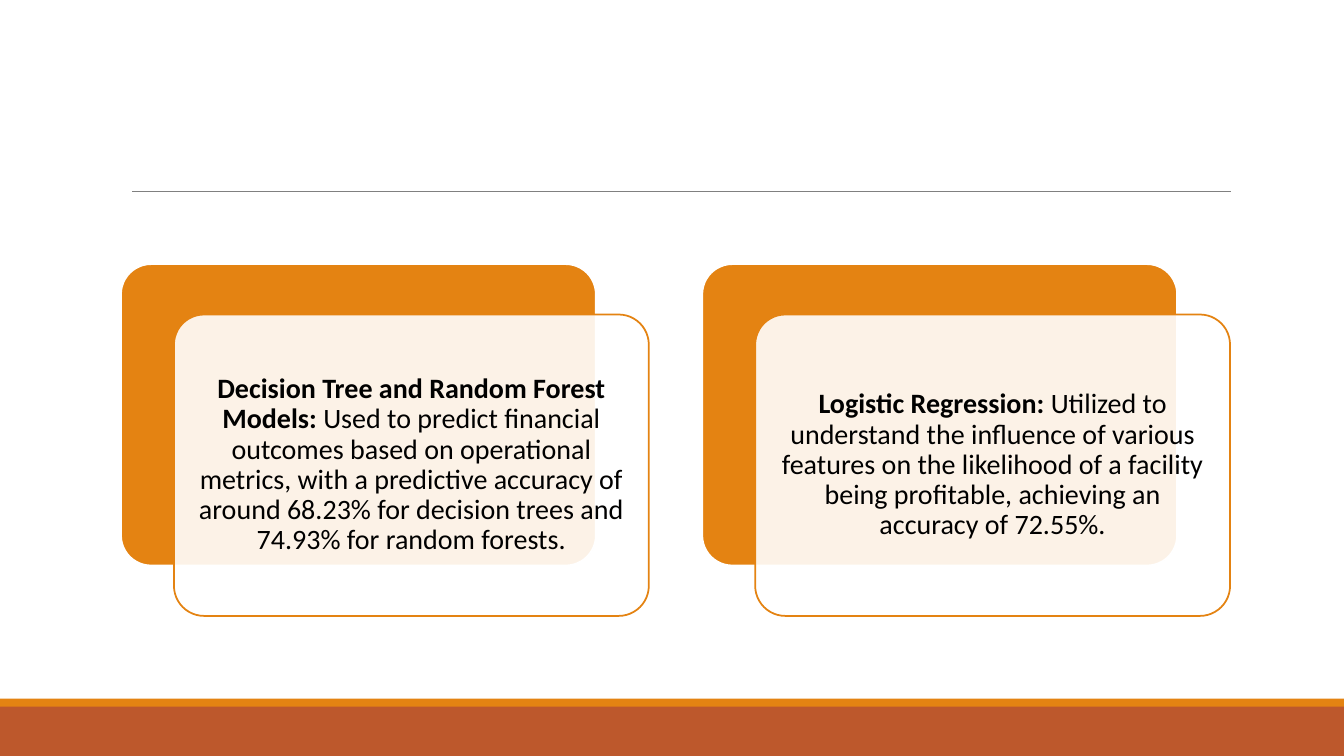
from dataclasses import dataclass

from lxml import etree
from pptx import Presentation
from pptx.dml.color import RGBColor
from pptx.enum import shapes, text
from pptx.oxml import ns
from pptx.util import Inches, Pt

MODELS = [
    ("Decision Tree and Random Forest Models: ",
     "Used to predict financial outcomes based on operational metrics, with a "
     "predictive accuracy of around 68.23% for decision trees and 74.93% for "
     "random forests."),
    ("Logistic Regression: ",
     "Utilized to understand the influence of various features on the likelihood "
     "of a facility being profitable, achieving an accuracy of 72.55%."),
]


@dataclass(frozen=True)
class Theme:
    orange: RGBColor = RGBColor.from_string("E48312")
    rust: RGBColor = RGBColor.from_string("BD582C")
    gray: RGBColor = RGBColor.from_string("808080")
    white: RGBColor = RGBColor.from_string("FFFFFF")
    black: RGBColor = RGBColor.from_string("000000")
    font: str = "Calibri"
    body: Pt = Pt(20)
    outline: Pt = Pt(1.25)
    rule: Pt = Pt(0.5)


THEME = Theme()
SLIDE_W, SLIDE_H = 13.33, 7.5
CARD_W, CARD_H = 4.71, 2.99
CARD_LEFT, CARD_TOP, CARD_PITCH = 1.2, 2.62, 5.765
FRONT_DX, FRONT_DY = 0.525, 0.5
CARD_INSET = 0.08


def add_block(slide, kind, left, top, width, height, fill, outline=None):
    block = slide.shapes.add_shape(
        kind, Inches(left), Inches(top), Inches(width), Inches(height))
    block.shadow.inherit = False
    block.fill.solid()
    block.fill.fore_color.rgb = fill
    if outline is None:
        block.line.fill.background()
    else:
        block.line.color.rgb = outline
        block.line.width = THEME.outline
    return block


def add_card(slide, left, top, fill, outline):
    card = add_block(slide, shapes.MSO_SHAPE.ROUNDED_RECTANGLE,
                     left, top, CARD_W, CARD_H, fill, outline)
    card.adjustments[0] = 0.1
    return card


def make_translucent(card, percent):
    color = card.fill._xPr.find(ns.qn("a:solidFill"))[0]
    etree.SubElement(color, ns.qn("a:alpha"), val=str(percent * 1000))


def write_model(card, name, finding):
    frame = card.text_frame
    frame.word_wrap = True
    frame.vertical_anchor = text.MSO_ANCHOR.MIDDLE
    frame.margin_left = frame.margin_right = Inches(CARD_INSET)
    frame.margin_top = frame.margin_bottom = Inches(CARD_INSET)
    summary = frame.paragraphs[0]
    summary.alignment = text.PP_ALIGN.CENTER
    summary.line_spacing = 0.9
    for words, bold in ((name, True), (finding, False)):
        run = summary.add_run()
        run.text = words
        run.font.bold = bold
        run.font.name = THEME.font
        run.font.size = THEME.body
        run.font.color.rgb = THEME.black


def add_rule(slide, left, right, top):
    rule = slide.shapes.add_connector(
        shapes.MSO_CONNECTOR.STRAIGHT,
        Inches(left), Inches(top), Inches(right), Inches(top))
    rule.line.color.rgb = THEME.gray
    rule.line.width = THEME.rule
    etree.SubElement(rule._element.spPr, ns.qn("a:effectLst"))


def main():
    deck = Presentation()
    deck.slide_width, deck.slide_height = Inches(SLIDE_W), Inches(SLIDE_H)
    slide = deck.slides.add_slide(deck.slide_layouts[6])

    for top, height, fill in ((7, 0.5, THEME.rust), (6.93, 0.08, THEME.orange)):
        add_block(slide, shapes.MSO_SHAPE.RECTANGLE, 0, top, SLIDE_W, height, fill)
    add_rule(slide, 1.31, 12.21, 1.9)

    for index, (name, finding) in enumerate(MODELS):
        left = CARD_LEFT + index * CARD_PITCH
        add_card(slide, left, CARD_TOP, THEME.orange, THEME.white)
        front = add_card(slide, left + FRONT_DX, CARD_TOP + FRONT_DY,
                         THEME.white, THEME.orange)
        make_translucent(front, 90)
        write_model(front, name, finding)

    deck.save("out.pptx")


if __name__ == "__main__":
    main()
